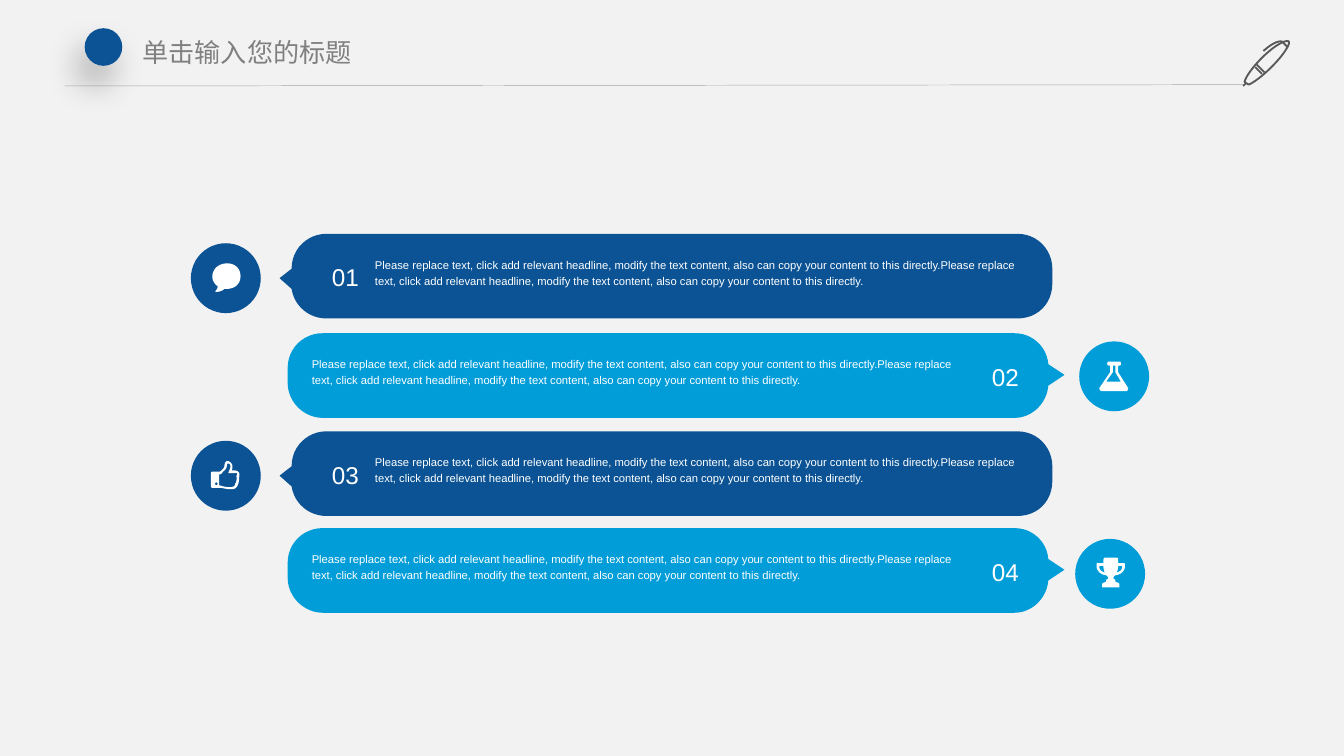
from lxml import etree
from pptx import Presentation
from pptx import util as u
from pptx.dml import color
from pptx.enum import shapes, text
from pptx.oxml import ns

NAVY, SKY, WHITE = "0B5394", "009DD9", "FFFFFF"
BODY = " ".join([
    "Please replace text, click add relevant headline, modify the text content,",
    "also can copy your content to this directly.Please replace text, click add",
    "relevant headline, modify the text content, also can copy your content to this directly.",
])

LEFT_BAR = ("M 35 0 C 21 0 9 11 9 26 L 0 33 L 9 41 C 11 54 22 63 35 63 L 549 63 "
            "C 564 63 575 52 575 37 L 575 26 C 575 12 564 0 549 0 Z")
RIGHT_BAR = ("M 26 0 C 12 0 0 11 0 26 L 0 37 C 0 51 12 63 26 63 L 541 63 "
             "C 554 63 565 52 566 39 L 578 31 L 566 23 C 565 10 554 0 541 0 Z")
PEN = ("M 14 26 L 9 21 M 10 19 L 16 25 M 34 2 C 32 0 23 5 14 14 C 7 21 2 28 1 32 "
       "L 4 34 C 7 33 14 28 21 21 C 30 12 35 4 34 2 Z M 2 33 L 0 35 "
       "M 33 6 C 33 6 31 4 29 2 C 29 2 25 0 15 9")
SPEECH = ("M 11 0 C 17 0 21 4 21 9.5 C 21 15 17 19 11 19 L 9 19 C 7 21 4 21.5 2 21 "
          "C 3 20 4 18.5 4 17 C 1 15 0 12 0 10 C 0 4 5 0 11 0 Z")
FLASK = ("M 21 19 C 22 20 21 22 20 22 L 2 22 C 0 22 -0.3 20 0.5 19 L 8 8 L 8 3 L 7 3 "
         "C 5.5 3 5.5 0 7 0 L 15 0 C 16.5 0 16.5 3 15 3 L 14 3 L 14 8 Z "
         "M 5 15 L 16 15 L 12 8 L 12 3 L 10 3 L 10 8 Z")
THUMB = ("M 21 12 C 21 15 20.5 18 19 19.5 C 18 21 16 21 14 21 C 11 21 9 20 6 20 L 1 20 "
         "C 0 20 0 19 0 18 L 0 10 C 0 9 0 8 1 8 L 6 8 C 7.5 8 10 5 10 4 C 10 2 11 0 12 0 "
         "C 14 0 16 2 16 4 C 16 5 16 6 15.5 7 C 18 7 20 7 21 9 C 21.3 10 21.2 11 21 12 Z "
         "M 6 10 L 6 18 C 9 19 11 19.5 14 19.5 C 16 19.5 18 19 18 17 C 19.5 15 19 13 19 11 "
         "C 20.5 9 18.5 8.5 18 9 L 13 9 C 13 8 14.5 6 14.5 4 C 14.5 3 14 2 13 2 L 12 2 "
         "C 12 4 11.5 6 9.5 7.5 C 8 9 8 10 6 10 Z M 4 18 C 5.3 18 5.3 16 4 16 "
         "C 2.7 16 2.7 18 4 18 Z")
TROPHY = ("M 21 7 C 21 10 17 13 14 13 C 12.5 14 12 15 13 16 C 14 16 14 17 14 18 "
          "C 16 18.5 17 19 17 20 L 17 22 L 4 22 L 4 20 C 4 19 5 18.5 7 18 "
          "C 7 17 7 16 8 16 C 9 15 8.5 14 7 13 C 4 13 0 10 0 7 L 0 5 C 0 4 0 4 1 4 "
          "L 5 4 L 5 2 C 5 1 5.5 0 6 0 L 15 0 C 16 0 16 1 16 2 L 16 4 L 20 4 "
          "C 21 4 21 4.5 21 5 Z M 6 11 C 5.5 9.5 5 8 5 6 L 2 6 L 2 7 C 2 9 4 10.5 6 11 Z "
          "M 19 6 L 16 6 C 16 8 15.5 9.5 15 11 C 17 10.5 19 9 19 7 Z")


def rgb(value):
    return color.RGBColor.from_string(value)


def paint(shape, fill=None, line=None):
    shape.shadow.inherit = False
    if fill:
        shape.fill.solid()
        shape.fill.fore_color.rgb = rgb(fill)
    else:
        shape.fill.background()
    if line:
        shape.line.color.rgb = rgb(line)
        shape.line.width = u.Pt(1)
    else:
        shape.line.fill.background()


def curve_points(start, controls, steps=12):
    anchors = [start] + controls
    for step in range(1, steps + 1):
        t = step / steps
        weights = ((1 - t) ** 3, 3 * t * (1 - t) ** 2, 3 * t * t * (1 - t), t ** 3)
        yield tuple(sum(w * anchor[axis] for w, anchor in zip(weights, anchors))
                    for axis in (0, 1))


def contour_points(contour):
    tokens = ["L"] + contour.replace("Z", "").split()
    points, index = [], 0
    while index < len(tokens):
        count = 3 if tokens[index] == "C" else 1
        numbers = [float(token) for token in tokens[index + 1:index + 1 + 2 * count]]
        pairs = list(zip(numbers[::2], numbers[1::2]))
        points.extend(curve_points(points[-1], pairs) if count == 3 else pairs)
        index += 1 + 2 * count
    return points


def add_outline(container, left, top, outline, fill=None, line=None):
    builder = None
    for contour in outline.split("M")[1:]:
        placed = [(u.Inches(left + x / 100), u.Inches(top + y / 100))
                  for x, y in contour_points(contour)]
        if builder is None:
            builder = container.build_freeform(*placed[0], scale=1.0)
        else:
            builder.move_to(*placed[0])
        builder.add_line_segments(placed[1:], close="Z" in contour)
    paint(builder.convert_to_shape(), fill, line)


def add_circle(container, left, top, size, fill):
    circle = container.add_shape(shapes.MSO_SHAPE.OVAL, u.Inches(left), u.Inches(top),
                                 u.Inches(size), u.Inches(size))
    paint(circle, fill)
    return circle


def add_text(slide, box, wording, size, font, fill, margins=(0, 0, 0, 0),
             anchor=text.MSO_ANCHOR.TOP, spacing=None):
    frame = slide.shapes.add_textbox(*(u.Inches(value) for value in box)).text_frame
    frame.word_wrap = True
    frame.vertical_anchor = anchor
    (frame.margin_left, frame.margin_top,
     frame.margin_right, frame.margin_bottom) = (u.Inches(value) for value in margins)
    paragraph = frame.paragraphs[0]
    paragraph.line_spacing = spacing
    run = paragraph.add_run()
    run.text = wording
    run.font.size = u.Pt(size)
    run.font.name = font
    run.font.color.rgb = rgb(fill)
    east_asian = etree.SubElement(run.font._element, ns.qn("a:ea"))
    east_asian.set("typeface", font)


def add_soft_shadow(shape):
    effects = shape._element.spPr.find(ns.qn("a:effectLst"))
    shadow = etree.SubElement(effects, ns.qn("a:outerShdw"), blurRad=str(u.Pt(18)),
                              dist=str(u.Pt(11)), dir=str(113 * 60000),
                              algn="ctr", rotWithShape="0")
    shade = etree.SubElement(shadow, ns.qn("a:srgbClr"), val="000000")
    etree.SubElement(shade, ns.qn("a:alpha"), val="27000")


def add_header(slide, left, top):
    rule = slide.shapes.add_connector(
        shapes.MSO_CONNECTOR.STRAIGHT, u.Inches(left), u.Inches(top + 0.43),
        u.Inches(left + 8.77), u.Inches(top + 0.42))
    rule.line.color.rgb = rgb("A6A6A6")
    rule.line.width = u.Pt(0.25)
    etree.SubElement(rule._element.spPr, ns.qn("a:effectLst"))
    add_outline(slide.shapes, left + 8.77, top + 0.08, PEN, line="595959")
    add_text(slide, (left + 0.49, top + 0.02, 2.43, 0.32), "单击输入您的标题", 14,
             "Noto Sans CJK SC", "808080", (0.09, 0.04, 0.09, 0.04))
    add_soft_shadow(add_circle(slide.shapes, left + 0.15, top, 0.28, NAVY))


def add_row(slide, left, top, number, points_left, badge_at, icon, icon_at):
    fill = NAVY if points_left else SKY
    number_left, body_left = (0.25, 0.71) if points_left else (5.1, 0.18)
    badge_left, badge_top = left + badge_at[0], top + badge_at[1]
    badge = slide.shapes.add_group_shape().shapes
    add_circle(badge, badge_left, badge_top, 0.52, fill)
    add_outline(badge, badge_left + icon_at[0], badge_top + icon_at[1], icon, WHITE)
    add_outline(slide.shapes, left, top, LEFT_BAR if points_left else RIGHT_BAR, fill)
    add_text(slide, (left + number_left, top + 0.17, 0.36, 0.26), number, 13, "Arial", WHITE,
             (0.14, 0, 0, 0), text.MSO_ANCHOR.MIDDLE, 1.2)
    add_text(slide, (left + body_left, top + 0.16, 4.84, 0.24), BODY, 6, "Arial", WHITE,
             spacing=1.2)


def main():
    presentation = Presentation()
    presentation.slide_width = u.Inches(10)
    presentation.slide_height = presentation.slide_width * 9 // 16
    slide = presentation.slides.add_slide(presentation.slide_layouts[6])
    slide.background.fill.solid()
    slide.background.fill.fore_color.rgb = rgb("F2F2F2")
    add_header(slide, 0.48, 0.21)
    rows = [
        (1.74, (-0.66, 0.07), SPEECH, (0.16, 0.15)),
        (2.48, (5.89, 0.06), FLASK, (0.15, 0.15)),
        (3.21, (-0.66, 0.07), THUMB, (0.15, 0.15)),
        (3.93, (5.86, 0.08), TROPHY, (0.16, 0.14)),
    ]
    for index, (top, badge_at, icon, icon_at) in enumerate(rows):
        points_left = index % 2 == 0
        add_row(slide, 2.08 if points_left else 2.14, top, f"{index + 1:02}",
                points_left, badge_at, icon, icon_at)
    presentation.save("out.pptx")


if __name__ == "__main__":
    main()
